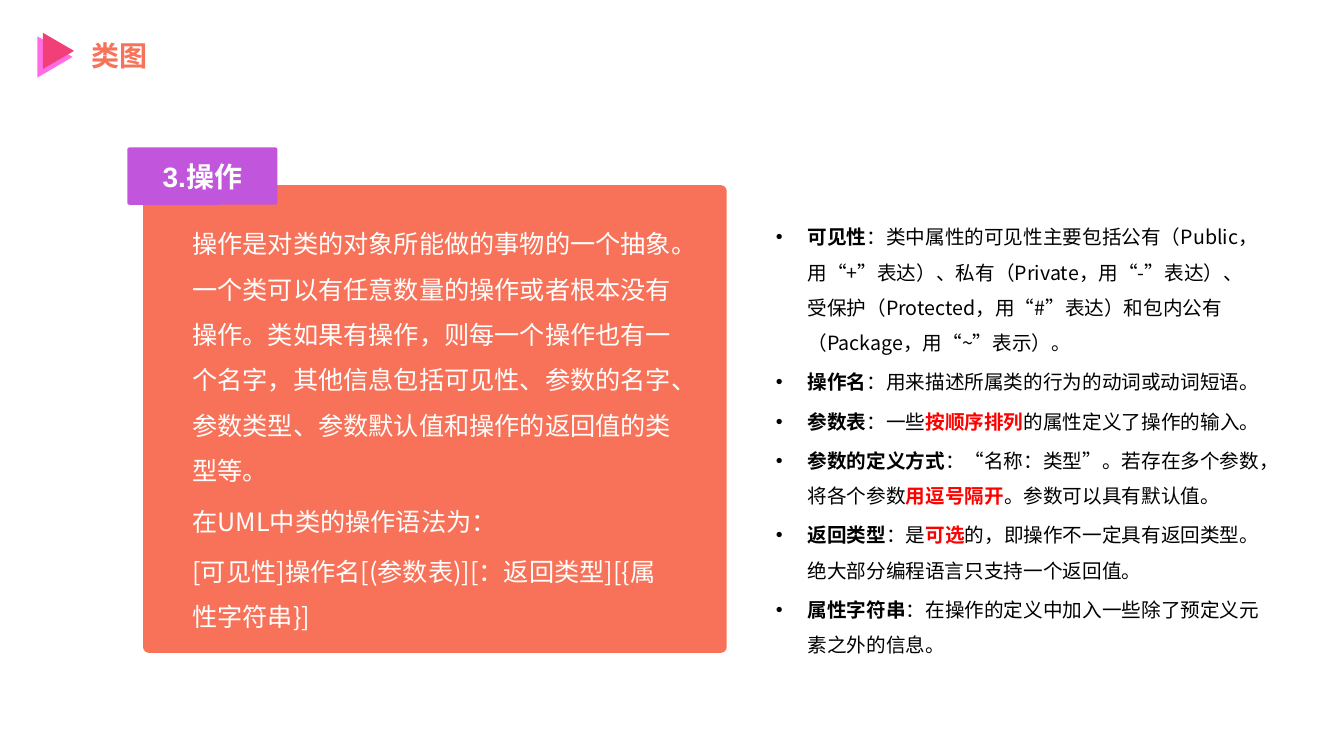
"""Build the class diagram slide about operations."""
from pptx import Presentation
from pptx.dml.color import RGBColor
from pptx.enum.shapes import MSO_SHAPE as SHAPE
from pptx.enum.text import MSO_ANCHOR as ANCHOR, PP_ALIGN as ALIGN
from pptx.oxml.ns import qn
from pptx.util import Pt
from lxml.etree import SubElement

COLORS = {
    "white": "FFFFFF", "black": "000000", "red": "FF0000", "coral": "F77258",
    "purple": "C155DC", "pink": "FF6CE4", "rose": "F04077",
}
SANS = "Noto Sans CJK SC"


def add_run(p, text, size=18, color="white", bold=False, font=SANS):
    r = p.add_run()
    r.text = text
    r.font.size = Pt(size)
    r.font.bold = bold
    r.font.name = font
    r.font.color.rgb = RGBColor.from_string(COLORS[color])
    SubElement(r._r.get_or_add_rPr(), qn("a:ea"), typeface=SANS)


prs = Presentation()
prs.slide_width, prs.slide_height = Pt(960), Pt(540)
s = prs.slides.add_slide(prs.slide_layouts[6])

shapes = [
    (SHAPE.ISOSCELES_TRIANGLE, 24.5, 28.1, 29.5, 25.2, 90, None, "pink"),
    (SHAPE.ISOSCELES_TRIANGLE, 28.8, 25.2, 25.9, 22.3, 90, None, "rose"),
    (SHAPE.ROUNDED_RECTANGLE, 102.2, 132.3, 416.9, 334, 0, 0.012, "coral"),
    (SHAPE.ROUNDED_RECTANGLE, 90.9, 105.3, 107.3, 41, 0, 0.039, "purple"),
]
for kind, x, y, w, h, angle, corner, color in shapes:
    sp = s.shapes.add_shape(kind, Pt(x), Pt(y), Pt(w), Pt(h))
    sp.shadow.inherit = False
    sp.rotation = angle
    if corner:
        sp.adjustments[0] = corner
    sp.fill.solid()
    sp.fill.fore_color.rgb = RGBColor.from_string(COLORS[color])
    sp.line.fill.background()

tf = sp.text_frame
tf.vertical_anchor = ANCHOR.MIDDLE
tf.paragraphs[0].alignment = ALIGN.CENTER
add_run(tf.paragraphs[0], "3.操作", size=20, bold=True, font="Arial")

title = [[("类图", "coral", True)]]
syntax = [
    [("操作是对类的对象所能做的事物的一个抽象。一个类可以有任意数量的操作或者根本没有操作。"
      "类如果有操作，则每一个操作也有一个名字，其他信息包括可见性、参数的名字、参数类型、"
      "参数默认值和操作的返回值的类型等。", "white", False)],
    [("在UML中类的操作语法为：", "white", False)],
    [("[可见性]操作名[(参数表)][：返回类型][{属性字符串}]", "white", False)],
]
terms = [
    [("可见性", "black", True),
     ("：类中属性的可见性主要包括公有（Public，用“+”表达）、私有（Private，用“-”表达）、"
      "受保护（Protected，用“#”表达）和包内公有（Package，用“~”表示）。", "black", False)],
    [("操作名", "black", True),
     ("：用来描述所属类的行为的动词或动词短语。", "black", False)],
    [("参数表", "black", True), ("：一些", "black", False),
     ("按顺序排列", "red", True), ("的属性定义了操作的输入。", "black", False)],
    [("参数的定义方式", "black", True),
     ("：“名称：类型”。若存在多个参数，将各个参数", "black", False),
     ("用逗号隔开", "red", True), ("。参数可以具有默认值。", "black", False)],
    [("返回类型", "black", True), ("：是", "black", False), ("可选", "red", True),
     ("的，即操作不一定具有返回类型。绝大部分编程语言只支持一个返回值。", "black", False)],
    [("属性字符串", "black", True),
     ("：在操作的定义中加入一些除了预定义元素之外的信息。", "black", False)],
]
boxes = [
    (130.3, 149, 360.7, 391, 18, 1.5, False, syntax),
    (58.3, 23.8, 205.2, 31.7, 20, 1, False, title),
    (547.2, 149, 360.7, 326.9, 14, 1.5, True, terms),
]
for x, y, w, h, size, spacing, bulleted, paragraphs in boxes:
    tf = s.shapes.add_textbox(Pt(x), Pt(y), Pt(w), Pt(h)).text_frame
    tf.word_wrap = True
    for i, runs in enumerate(paragraphs):
        p = tf.add_paragraph() if i else tf.paragraphs[0]
        p.line_spacing = spacing
        p.space_before = Pt(size * 0.2 if i else 0)
        if bulleted:
            pPr = p._p.get_or_add_pPr()
            pPr.set("marL", str(Pt(22.5)))
            pPr.set("indent", str(Pt(-22.5)))
            SubElement(pPr, qn("a:buFont"), typeface="Arial")
            SubElement(pPr, qn("a:buChar"), char="•")
        for text, color, bold in runs:
            add_run(p, text, size=size, color=color, bold=bold)

prs.save("out.pptx")
